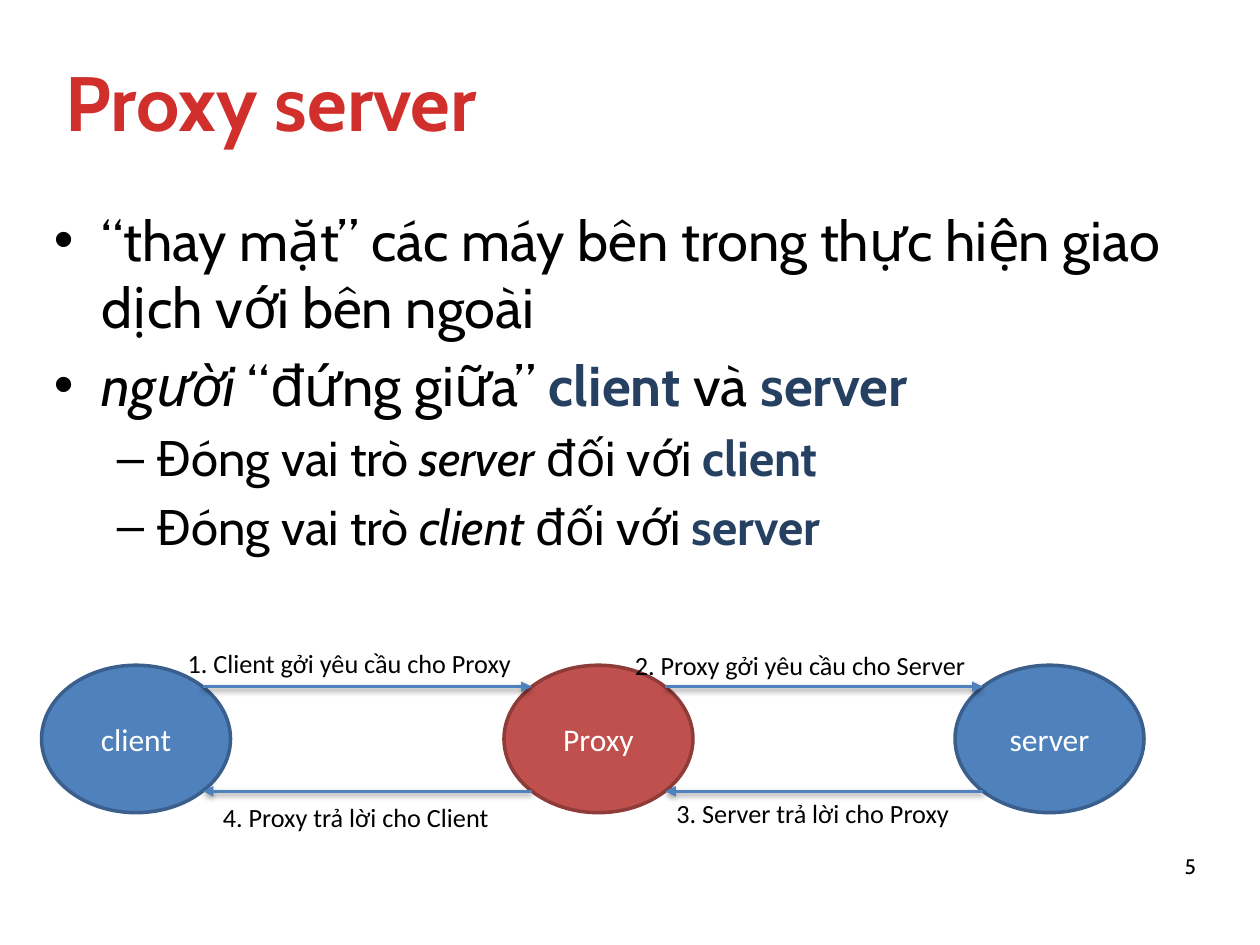
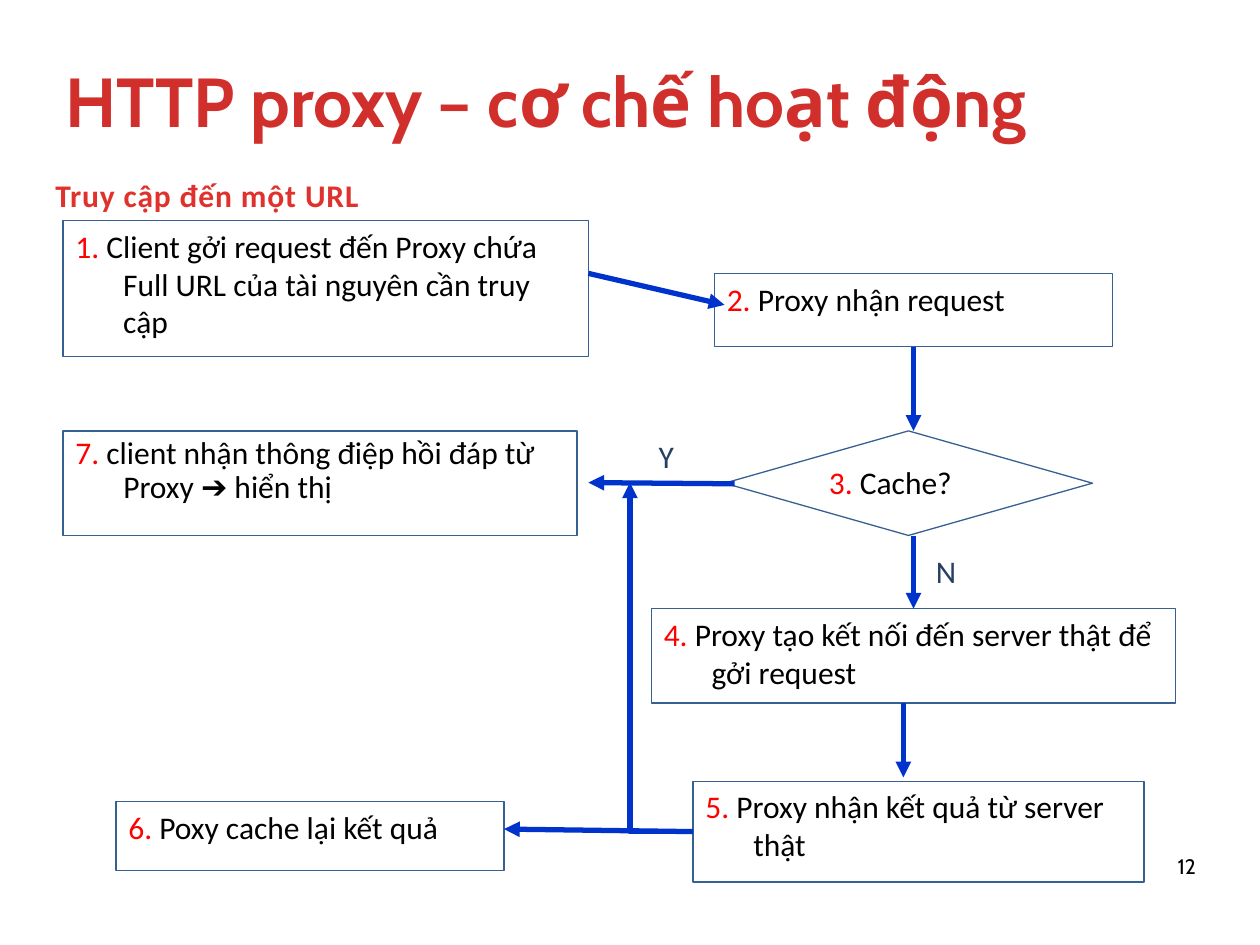
from pptx import Presentation
from pptx.util import Inches, Pt
from pptx.dml.color import RGBColor as RGB
from pptx.enum.shapes import MSO_SHAPE as SHAPE, MSO_CONNECTOR as CONN
from pptx.enum.text import PP_ALIGN as AL, MSO_ANCHOR as ANC, MSO_AUTO_SIZE as AUTO
from pptx.oxml.ns import qn
from lxml import etree

C = {"title": "D02F2C", "heading": "E0322D", "text": "000000", "navy": "254061",
     "blue": "4F81BD", "blue_edge": "3A5F8C", "red": "C0504D", "red_edge": "8E3B39",
     "box_edge": "376092", "number": "FF0000", "arrow": "0033CC", "white": "FFFFFF"}
TITLE = {"name": "Cabin", "size": Pt(44), "bold": True, "color": "title"}
BODY = {"name": "Cabin", "size": Pt(32), "color": "text"}
SUB = {**BODY, "size": Pt(28)}
PAGE = {**BODY, "size": Pt(12)}
NODE = {"name": "Calibri", "size": Pt(18), "color": "white"}
LABEL = {"name": "Calibri", "size": Pt(15), "color": "text"}
STEP = {**NODE, "color": "text"}
ANSWER = {**NODE, "color": "navy"}
HEADING = {**NODE, "color": "heading", "bold": True}
ITALIC = {"italic": True}
KEY = {"bold": True, "color": "navy"}


def write(p, base, *runs, **para):
    for key, value in para.items():
        setattr(p, key, value)
    for text, extra in runs:
        r = p.add_run()
        r.text = text
        for key, value in {**base, **extra}.items():
            if key == "color":
                r.font.color.rgb = RGB.from_string(C[value])
            else:
                setattr(r.font, key, value)
    return r


def arrow(s, kind, ends, color, width):
    c = s.shapes.add_connector(kind, *[Inches(v) for v in ends])
    c.line.color.rgb = RGB.from_string(C[color])
    c.line.width = Pt(width)
    etree.SubElement(c.line._get_or_add_ln(), qn("a:tailEnd"), type="triangle")
    return c


prs = Presentation()
prs.slide_width, prs.slide_height = Inches(10), Inches(7.5)

slides = []
for title, size, number in [("Proxy server", 44, "5"),
                            ("HTTP proxy – cơ chế hoạt động", 39.6, "12")]:
    s = prs.slides.add_slide(prs.slide_layouts[6])
    for text, box, fmt, align in [
            (title, (0.42, 0.17, 9.42, 1.25), {**TITLE, "size": Pt(size)}, AL.LEFT),
            (number, (8.92, 6.59, 0.67, 0.57), PAGE, AL.RIGHT)]:
        tf = s.shapes.add_textbox(*[Inches(v) for v in box]).text_frame
        tf.word_wrap, tf.vertical_anchor = True, ANC.MIDDLE
        write(tf.paragraphs[0], fmt, (text, {}), alignment=align)
    slides.append(s)
overview, flow = slides

tf = overview.shapes.add_textbox(Inches(0.33), Inches(1.58), Inches(9), Inches(3.42)).text_frame
tf.word_wrap = True
bullets = [
    (0, [("“thay mặt” các máy bên trong thực hiện giao dịch với bên ngoài", {})]),
    (0, [("người", ITALIC), (" “đứng giữa” ", {}), ("client ", KEY), ("và ", {}), ("server", KEY)]),
    (1, [("Đóng vai trò ", {}), ("server ", ITALIC), ("đối với ", {}), ("client", KEY)]),
    (1, [("Đóng vai trò ", {}), ("client ", ITALIC), ("đối với ", {}), ("server", KEY)]),
]
for i, (level, runs) in enumerate(bullets):
    p = tf.add_paragraph() if i else tf.paragraphs[0]
    fmt, mark, margin, hang = [(BODY, "•", 0.38, 0.38), (SUB, "–", 0.81, 0.31)][level]
    write(p, fmt, *runs, level=level, space_before=Pt(fmt["size"].pt * 0.2))
    pPr = p._p.get_or_add_pPr()
    pPr.set("marL", str(Inches(margin)))
    pPr.set("indent", str(-Inches(hang)))
    etree.SubElement(pPr, qn("a:buFont"), typeface="Arial")
    etree.SubElement(pPr, qn("a:buChar"), char=mark)

for name, x, color in [("client", 0.33, "blue"), ("Proxy", 4, "red"), ("server", 7.58, "blue")]:
    sp = overview.shapes.add_shape(SHAPE.OVAL, Inches(x), Inches(5.28), Inches(1.5), Inches(1.17))
    sp.shadow.inherit = False
    sp.fill.solid()
    sp.fill.fore_color.rgb = RGB.from_string(C[color])
    sp.line.color.rgb = RGB.from_string(C[color + "_edge"])
    sp.line.width = Pt(2)
    sp.text_frame.vertical_anchor = ANC.MIDDLE
    write(sp.text_frame.paragraphs[0], NODE, (name, {}), alignment=AL.CENTER)

for left, right in [(1.61, 4.22), (5.28, 7.8)]:
    arrow(overview, CONN.STRAIGHT, (left, 5.45, right, 5.45), "blue", 2)
    arrow(overview, CONN.STRAIGHT, (right, 6.28, left, 6.28), "blue", 2)

steps = [
    ("1.", " Client gởi request đến Proxy chứa Full URL của tài nguyên cần truy cập",
     SHAPE.RECTANGLE, (0.5, 1.75, 4.17, 1.08)),
    ("2.", " Proxy nhận request", SHAPE.RECTANGLE, (5.67, 2.17, 3.16, 0.58)),
    ("3.", " Cache?", SHAPE.DIAMOND, (5.75, 3.42, 2.92, 0.83)),
    ("4.", " Proxy tạo kết nối đến server thật để gởi request",
     SHAPE.RECTANGLE, (5.17, 4.83, 4.16, 0.75)),
    ("5.", " Proxy nhận kết quả từ server thật", SHAPE.RECTANGLE, (5.5, 6.2, 3.58, 0.8)),
    ("6.", " Poxy cache lại kết quả", SHAPE.RECTANGLE, (0.92, 6.36, 3.08, 0.55)),
    ("7.", " client nhận thông điệp hồi đáp từ Proxy ➔ hiển thị",
     SHAPE.RECTANGLE, (0.5, 3.42, 4.08, 0.83)),
]
boxes = {}
for number, text, kind, box in steps:
    sp = flow.shapes.add_shape(kind, *[Inches(v) for v in box])
    sp.shadow.inherit = False
    sp.fill.background()
    sp.line.color.rgb = RGB.from_string(C["box_edge"])
    sp.line.width = Pt(0.75)
    tf = sp.text_frame
    tf.word_wrap, tf.vertical_anchor = True, ANC.TOP
    p = tf.paragraphs[0]
    write(p, STEP, (number, {"color": "number"}), (text, {}), alignment=AL.LEFT,
          space_before=Pt(3.6), line_spacing=0.9 if number == "7." else None)
    p._p.pPr.set("marL", str(Inches(0.38)))
    p._p.pPr.set("indent", str(-Inches(0.38)))
    boxes[number] = sp

links = [
    (CONN.STRAIGHT, (4.67, 2.17, 5.75, 2.42), None, None),
    (CONN.STRAIGHT, (7.25, 2.75, 7.25, 3.42), ("2.", 2), None),
    (CONN.STRAIGHT, (5.83, 3.84, 4.67, 3.83), None, None),
    (CONN.STRAIGHT, (7.25, 4.25, 7.25, 4.83), None, ("4.", 0)),
    (CONN.STRAIGHT, (7.17, 5.58, 7.17, 6.17), None, None),
    (CONN.ELBOW, (5.5, 6.6, 5, 3.83), None, None),
    (CONN.STRAIGHT, (5.5, 6.6, 4, 6.58), ("5.", 1), None),
]
for kind, ends, begin, end in links:
    c = arrow(flow, kind, ends, "arrow", 3)
    etree.SubElement(c._element.spPr, qn("a:effectLst"))
    if kind == CONN.ELBOW:
        c._element.spPr.find(qn("a:prstGeom")).set("prst", "bentConnector2")
    if begin:
        c.begin_connect(boxes[begin[0]], begin[1])
    if end:
        c.end_connect(boxes[end[0]], end[1])

labels = [
    (overview, "1. Client gởi yêu cầu cho Proxy", (1.39, 5.09, 3.13, 0.35), LABEL),
    (overview, "2. Proxy gởi yêu cầu cho Server", (4.94, 5.1, 3.21, 0.35), LABEL),
    (overview, "4. Proxy trả lời cho Client", (1.67, 6.31, 2.56, 0.35), LABEL),
    (overview, "3. Server trả lời cho Proxy", (5.27, 6.28, 2.64, 0.35), LABEL),
    (flow, "Truy cập đến một URL", (0.34, 1.35, 3.02, 0.4), HEADING),
    (flow, "Y", (5.13, 3.42, 0.37, 0.4), ANSWER),
    (flow, "N", (7.33, 4.33, 0.38, 0.4), ANSWER),
]
for s, text, box, fmt in labels:
    tf = s.shapes.add_textbox(*[Inches(v) for v in box]).text_frame
    tf.word_wrap, tf.auto_size = False, AUTO.SHAPE_TO_FIT_TEXT
    r = write(tf.paragraphs[0], fmt, (text, {}))
    if fmt is HEADING:
        r._r.get_or_add_rPr().set("spc", "50")

prs.save("out.pptx")
